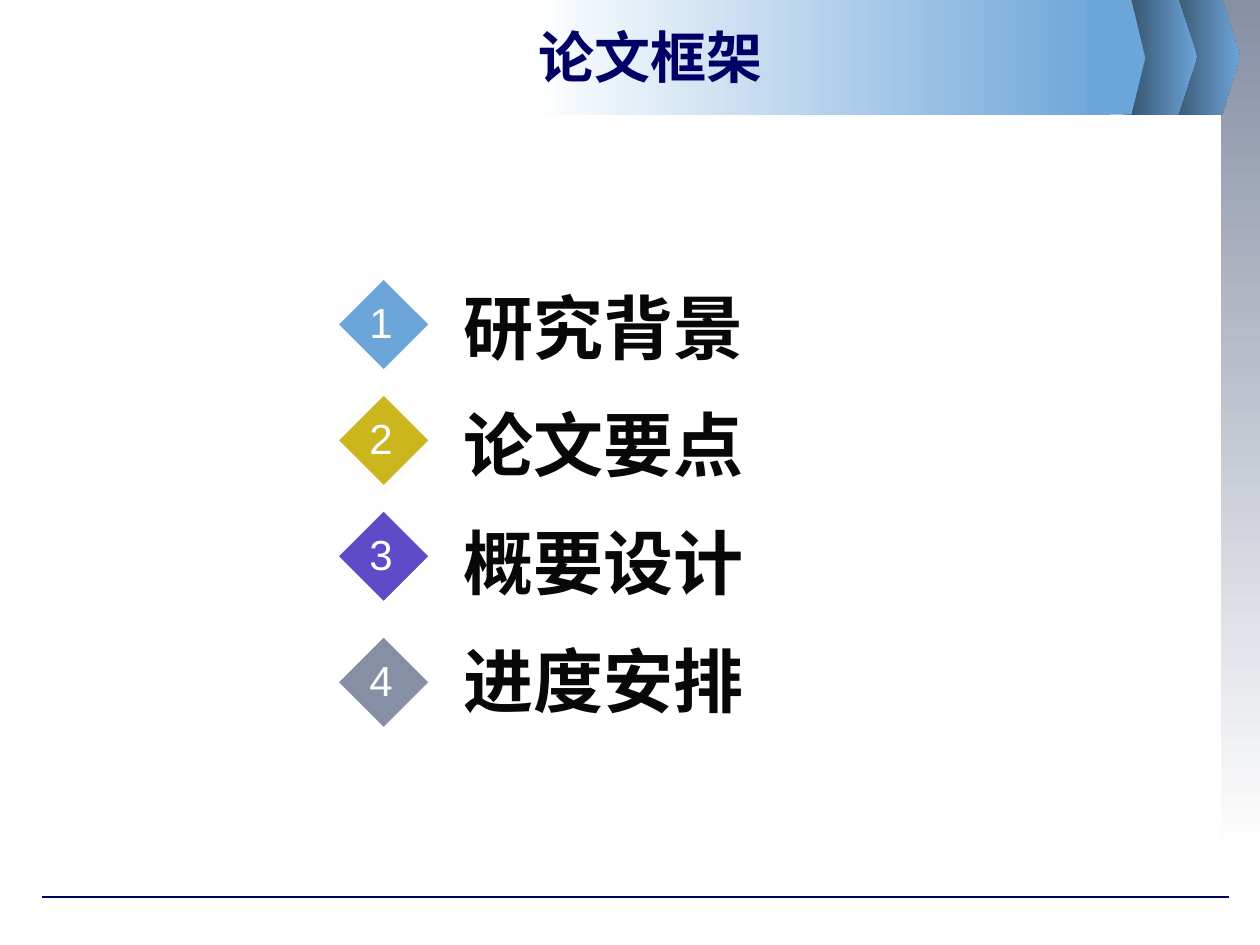
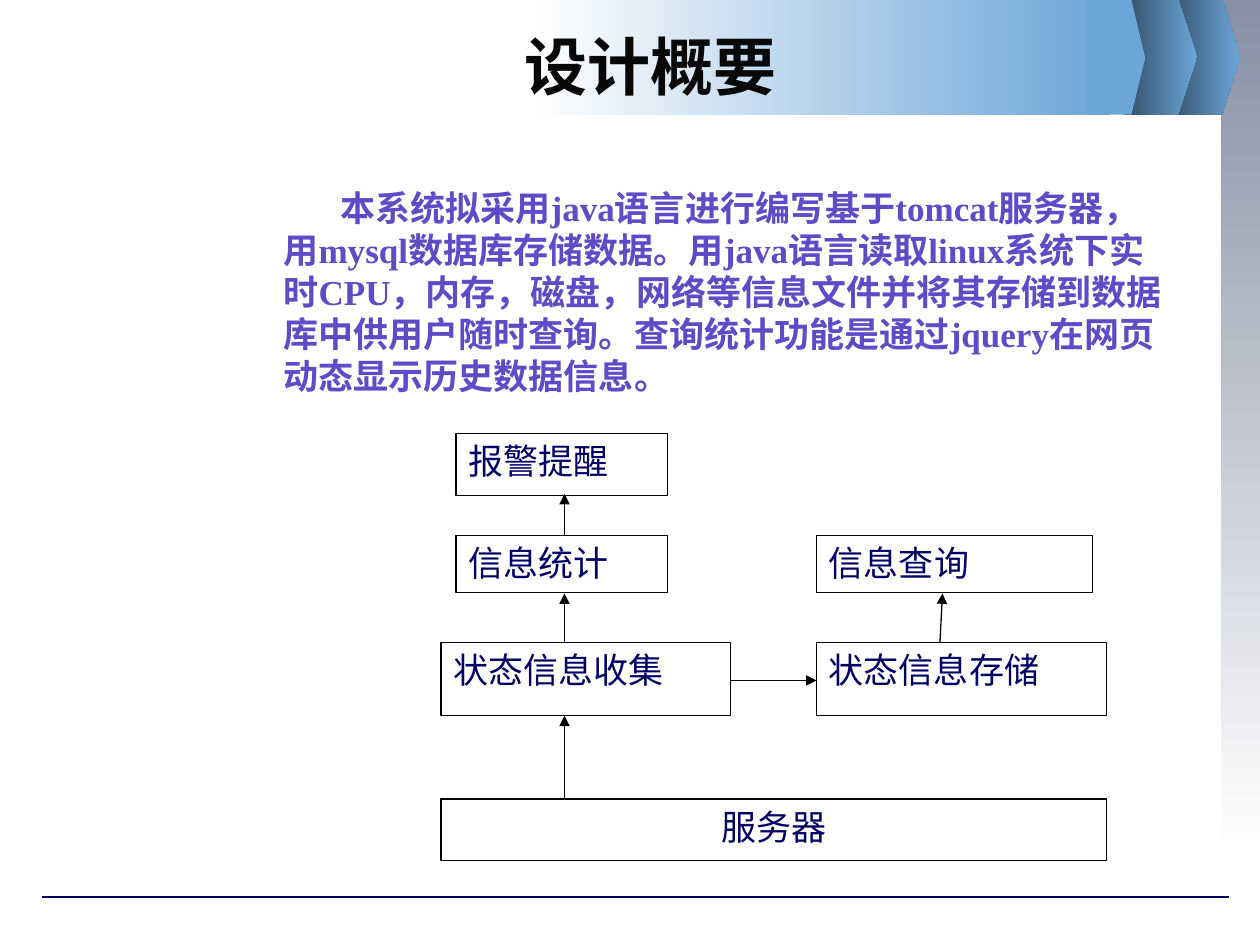
import pptx
import pptx.util
import pptx.oxml.ns
import pptx.dml.color
import pptx.enum.shapes
import pptx.enum.text
import lxml.etree

Inches = pptx.util.Inches
Pt = pptx.util.Pt
RGBColor = pptx.dml.color.RGBColor
qn = pptx.oxml.ns.qn
SHAPE = pptx.enum.shapes.MSO_SHAPE
STRAIGHT = pptx.enum.shapes.MSO_CONNECTOR.STRAIGHT
ALIGN = pptx.enum.text.PP_ALIGN
ANCHOR = pptx.enum.text.MSO_ANCHOR
NO_FIT = pptx.enum.text.MSO_AUTO_SIZE.NONE

WHITE = RGBColor(0xFF, 0xFF, 0xFF)
OFF_WHITE = RGBColor(0xFE, 0xFE, 0xFE)
BLACK = RGBColor(0, 0, 0)
INK = RGBColor(0x08, 0x08, 0x08)
NAVY = RGBColor(0, 0, 0x66)
SKY = RGBColor(0x6C, 0xA5, 0xD8)
STEEL = RGBColor(0x32, 0x4C, 0x64)
GOLD = RGBColor(0xCB, 0xB6, 0x1D)
VIOLET = RGBColor(0x5D, 0x4B, 0xC7)
SLATE = RGBColor(0x87, 0x8F, 0xA5)


def draw_line(page, start, end, color, arrow=False):
    line = page.shapes.add_connector(STRAIGHT, *(Inches(v) for v in (*start, *end)))
    line.line.color.rgb = color
    line.line.width = Pt(0.75)
    if arrow:
        outline = line.line._get_or_add_ln()
        lxml.etree.SubElement(outline, qn("a:tailEnd"), type="triangle")
    lxml.etree.SubElement(line.element.spPr, qn("a:effectLst"))
    return line


def fill_placeholder(box, place, lines, size, color, indent=0):
    box.left, box.top, box.width, box.height = (Inches(v) for v in place)
    frame = box.text_frame
    frame.auto_size = NO_FIT
    frame.word_wrap = True
    frame.text = "\n".join(lines)
    for para in frame.paragraphs:
        properties = para._p.get_or_add_pPr()
        properties.set("marL", "0")
        properties.set("indent", str(Inches(indent)))
        properties.set("hangingPunct", "0")
        lxml.etree.SubElement(properties, qn("a:buNone"))
        para.space_before = Pt(0)
        para.font.name = "Times New Roman"
        para.font.size = Pt(size)
        para.font.bold = True
        para.font.color.rgb = color
    return frame


deck = pptx.Presentation()
deck.slide_width = Inches(10)
deck.slide_height = Inches(7.5)
layout = deck.slide_layouts[1]
outline_page = deck.slides.add_slide(layout)
design_page = deck.slides.add_slide(layout)

side_band = outline_page.shapes.add_shape(
    SHAPE.RECTANGLE, Inches(9.69), 0, Inches(0.31), Inches(6.77))
footer_line = draw_line(outline_page, (0.33, 7.12), (9.75, 7.12), NAVY)
chevrons = []
for left, top, shoulder, tip in (
        (9.25, -0.01, 9.7, 9.84), (8.91, -0.01, 9.35, 9.5), (8.63, 0, 8.98, 9.09)):
    builder = outline_page.shapes.build_freeform(Inches(left), Inches(top))
    builder.add_line_segments([
        (Inches(x), Inches(y)) for x, y in (
            (shoulder, top), (tip, top + 0.46), (shoulder, 0.91), (left, 0.91))])
    chevrons.append(builder.convert_to_shape())
title_band = outline_page.shapes.add_shape(
    SHAPE.RECTANGLE, Inches(4.21), 0, Inches(4.6), Inches(0.91))

for shape, first, last, angle in (
        (side_band, SLATE, WHITE, 270), (title_band, WHITE, SKY, 0),
        (chevrons[0], STEEL, SKY, 0), (chevrons[1], STEEL, SKY, 0)):
    shape.fill.gradient()
    shape.fill.gradient_angle = angle
    for stop, color in zip(shape.fill.gradient_stops, (first, last)):
        stop.color.rgb = color
chevrons[2].fill.solid()
chevrons[2].fill.fore_color.rgb = SKY
for shape in (side_band, title_band, *chevrons):
    shape.line.fill.background()
    shape.shadow.inherit = False

master_tree = deck.slide_master.shapes.element
backdrop = (side_band, footer_line, *chevrons[:2], title_band, chevrons[2])
for number, shape in enumerate(backdrop, 101):
    shape.element.xpath("./*/p:cNvPr")[0].set("id", str(number))
    master_tree.append(shape.element)

for page, title, height, size, color in (
        (outline_page, "论文框架", 0.65, 32, NAVY),
        (design_page, "设计概要", 0.8, 36, INK)):
    frame = fill_placeholder(
        page.shapes.title, (1.25, 0.12, 7.83, height), [title], size, color)
    frame.vertical_anchor = ANCHOR.MIDDLE
    frame.paragraphs[0].alignment = ALIGN.CENTER

chapters = fill_placeholder(
    outline_page.placeholders[1], (3.58, 1.94, 3.75, 3.84),
    ["研究背景", "论文要点", "概要设计", "进度安排"], 40, INK)
for para in chapters.paragraphs:
    para.line_spacing = 1.4

markers = ((2.2, SKY), (3.12, GOLD), (4.04, VIOLET), (5.04, SLATE))
for number, (top, color) in enumerate(markers, 1):
    marker = outline_page.shapes.add_shape(
        SHAPE.DIAMOND, Inches(2.67), Inches(top), Inches(0.75), Inches(0.75))
    marker.shadow.inherit = False
    marker.fill.solid()
    marker.fill.fore_color.rgb = color
    marker.line.color.rgb = OFF_WHITE
    marker.line.width = Pt(2)
    frame = marker.text_frame
    frame.margin_left = frame.margin_top = 0
    frame.margin_right = frame.margin_bottom = Inches(0.04)
    frame.word_wrap = False
    frame.vertical_anchor = ANCHOR.MIDDLE
    frame.text = str(number)
    para = frame.paragraphs[0]
    para.alignment = ALIGN.CENTER
    para.font.name = "Arial"
    para.font.size = Pt(24)
    para.font.color.rgb = OFF_WHITE

fill_placeholder(
    design_page.placeholders[1], (2.15, 1.43, 7.21, 1.9),
    ["本系统拟采用java语言进行编写基于tomcat服务器，用mysql数据库存储数据。"
     "用java语言读取linux系统下实时CPU，内存，磁盘，网络等信息文件并将其存储到"
     "数据库中供用户随时查询。查询统计功能是通过jquery在网页动态显示历史数据信息。"],
    20, VIOLET, indent=0.45)

modules = (
    ("服务器", 3.5, 6.34, 5.28, 0.49, ALIGN.CENTER),
    ("状态信息收集", 3.5, 5.1, 2.3, 0.58, ALIGN.JUSTIFY),
    ("状态信息存储", 6.48, 5.1, 2.3, 0.58, ALIGN.JUSTIFY),
    ("信息统计", 3.62, 4.25, 1.68, 0.45, ALIGN.JUSTIFY),
    ("信息查询", 6.48, 4.25, 2.19, 0.45, ALIGN.JUSTIFY),
    ("报警提醒", 3.62, 3.44, 1.68, 0.49, ALIGN.JUSTIFY),
)
for name, left, top, width, height, alignment in modules:
    box = design_page.shapes.add_shape(
        SHAPE.RECTANGLE, Inches(left), Inches(top), Inches(width), Inches(height))
    box.shadow.inherit = False
    box.fill.solid()
    box.fill.fore_color.rgb = WHITE
    box.line.color.rgb = BLACK
    box.line.width = Pt(0.75)
    frame = box.text_frame
    frame.vertical_anchor = ANCHOR.TOP
    frame.text = name
    para = frame.paragraphs[0]
    para.alignment = alignment
    para.font.name = "Calibri"
    para.font.size = Pt(20)
    para.font.color.rgb = NAVY

for start, end in (
        ((4.48, 6.33), (4.48, 5.68)), ((5.8, 5.4), (6.48, 5.4)),
        ((4.48, 5.1), (4.48, 4.71)), ((7.46, 5.1), (7.48, 4.71)),
        ((4.48, 4.25), (4.48, 3.92))):
    draw_line(design_page, start, end, BLACK, arrow=True)

deck.save("out.pptx")
